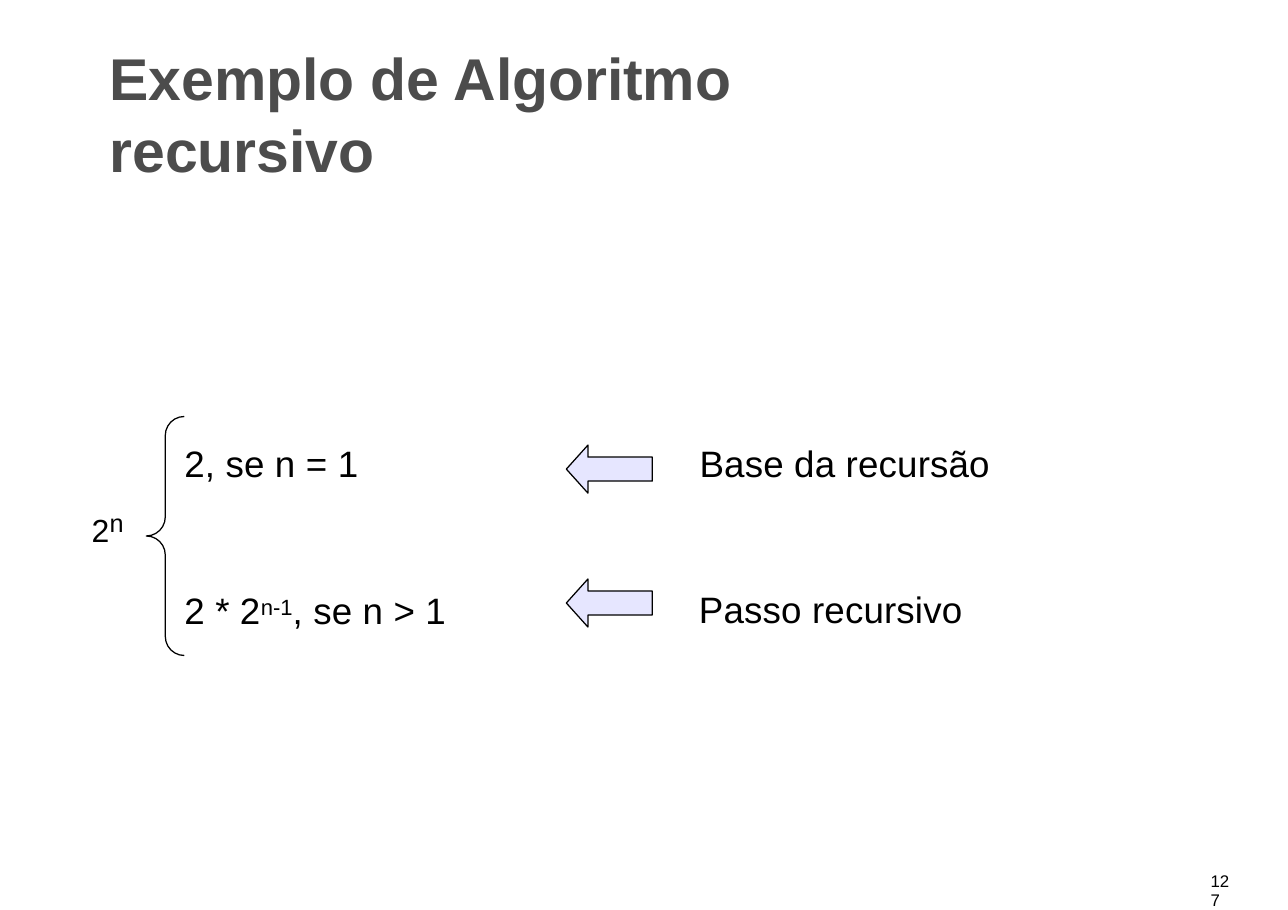
"""Build the slide on a recursive algorithm for powers of two."""
from dataclasses import dataclass
from typing import Optional

from pptx import Presentation
from pptx.dml.color import RGBColor
from pptx.enum.shapes import MSO_SHAPE as Preset
from pptx.enum.text import MSO_ANCHOR as Anchor
from pptx.util import Pt

BLACK, GRAY, LAVENDER = "000000", "4C4C4C", "E6E6FF"


@dataclass
class Piece:
    text: str
    size: float = 24
    baseline: int = 0
    spacing: float = 0.1


@dataclass
class Label:
    left: float
    top: float
    width: float
    height: float
    pieces: list[Piece]
    color: str = BLACK
    bold: bool = False
    margin_left: float = 1
    margin_top: float = 2
    line_spacing: Optional[float] = None


@dataclass
class Outline:
    preset: Preset
    left: float
    top: float
    width: float
    height: float
    adjustments: tuple[float, float]
    fill: Optional[str] = None


CASE_TOP, STEP_TOP = 285.8, 381.6
LABELS = [
    Label(70.6, 26.6, 458.6, 93.6,
          [Piece("Exemplo de Algoritmo recursivo", 38.5, spacing=-0.06)],
          GRAY, True, margin_top=0, line_spacing=46.8),
    Label(119.5, CASE_TOP, 116, 29.5, [Piece("2, se n = 1")]),
    Label(456.2, CASE_TOP, 193, 29.5, [Piece("Base da recursão")]),
    Label(59, 310.3, 24.5, 28.8,
          [Piece("2", 36, -17), Piece("n", 16.5, spacing=0)]),
    Label(119.5, STEP_TOP, 177, 29.5,
          [Piece("2 * 2"), Piece("n-1", 24.8, 25, 0), Piece(", se n > 1")]),
    Label(455.8, STEP_TOP, 175, 29.5, [Piece("Passo recursivo")]),
    Label(789.1, 570.2, 16.6, 12.2, [Piece("127", 11, spacing=0)],
          margin_left=2, margin_top=0, line_spacing=12.2),
]
OUTLINES = [
    Outline(Preset.LEFT_BRACE, 95.6, 272.2, 24.8, 156.2, (0.5, 0.5)),
    *(Outline(Preset.LEFT_ARROW, 370.1, top, 56.2, 31.4, (0.5, 0.45), LAVENDER)
      for top in (290.9, 378.4)),
]


def rgb(value: str) -> RGBColor:
    """Turn a hex string into a colour."""
    return RGBColor.from_string(value)


def set_format(target, values: dict) -> None:
    """Set each named attribute on the target."""
    for name, value in values.items():
        setattr(target, name, value)


def add_label(slide, label: Label) -> None:
    """Add a text box made of formatted pieces."""
    shape = slide.shapes.add_textbox(
        Pt(label.left), Pt(label.top), Pt(label.width), Pt(label.height))
    frame = shape.text_frame
    set_format(frame, {
        "word_wrap": True, "vertical_anchor": Anchor.TOP,
        "margin_left": Pt(label.margin_left), "margin_top": Pt(label.margin_top),
        "margin_right": 0, "margin_bottom": 0})
    paragraph = frame.paragraphs[0]
    if label.line_spacing:
        paragraph.line_spacing = Pt(label.line_spacing)
    for piece in label.pieces:
        run = paragraph.add_run()
        run.text = piece.text
        set_format(run.font, {
            "name": "Arial", "size": Pt(piece.size), "bold": label.bold})
        run.font.color.rgb = rgb(label.color)
        properties = run._r.get_or_add_rPr()
        properties.set("spc", str(round(piece.spacing * 100)))
        if piece.baseline:
            properties.set("baseline", str(piece.baseline * 1000))


def add_outline(slide, outline: Outline) -> None:
    """Add a preset shape with a thin black line."""
    shape = slide.shapes.add_shape(
        outline.preset, Pt(outline.left), Pt(outline.top),
        Pt(outline.width), Pt(outline.height))
    shape.shadow.inherit = False
    for index, value in enumerate(outline.adjustments):
        shape.adjustments[index] = value
    if outline.fill:
        shape.fill.solid()
        shape.fill.fore_color.rgb = rgb(outline.fill)
    else:
        shape.fill.background()
    shape.line.color.rgb = rgb(BLACK)
    shape.line.width = Pt(0.81)


def main() -> None:
    """Create the presentation and save it."""
    presentation = Presentation()
    set_format(presentation, {"slide_width": Pt(841.68), "slide_height": Pt(594.72)})
    slide = presentation.slides.add_slide(presentation.slide_layouts[6])
    for outline in OUTLINES:
        add_outline(slide, outline)
    for label in LABELS:
        add_label(slide, label)
    presentation.save("out.pptx")


if __name__ == "__main__":
    main()
